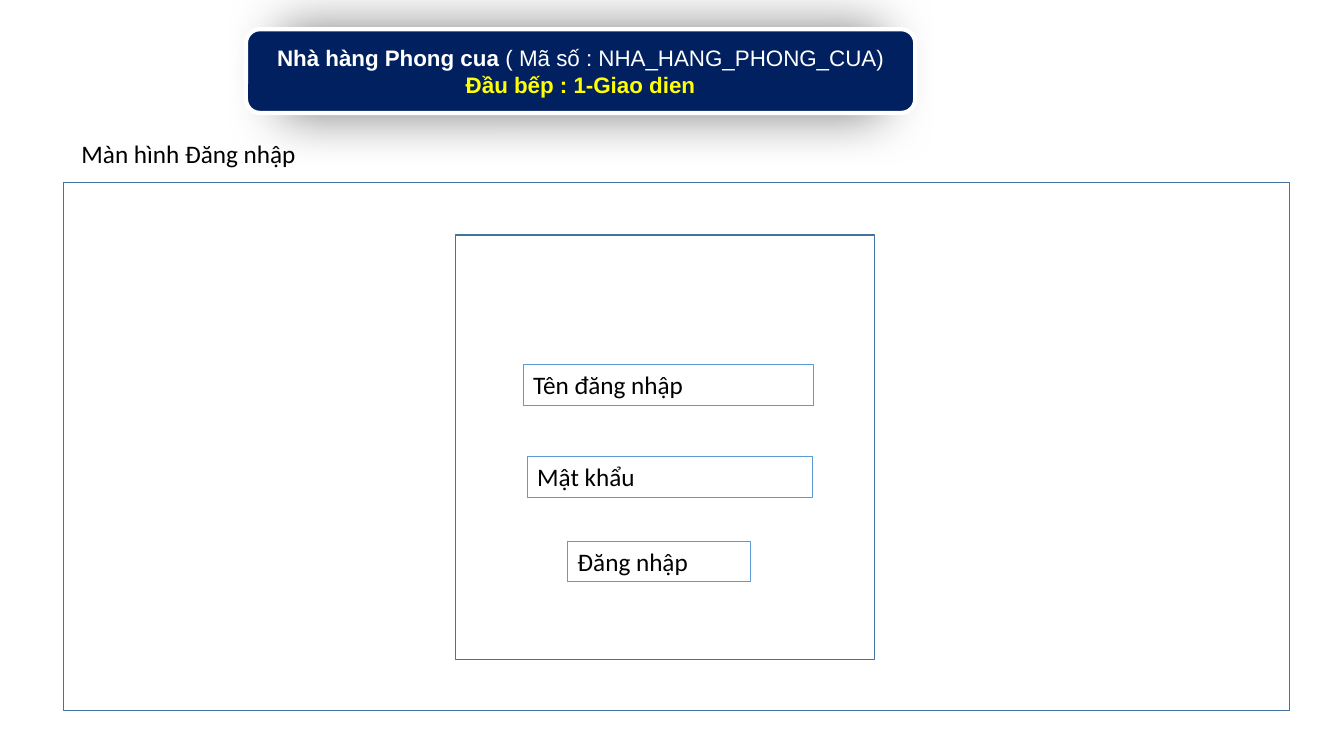
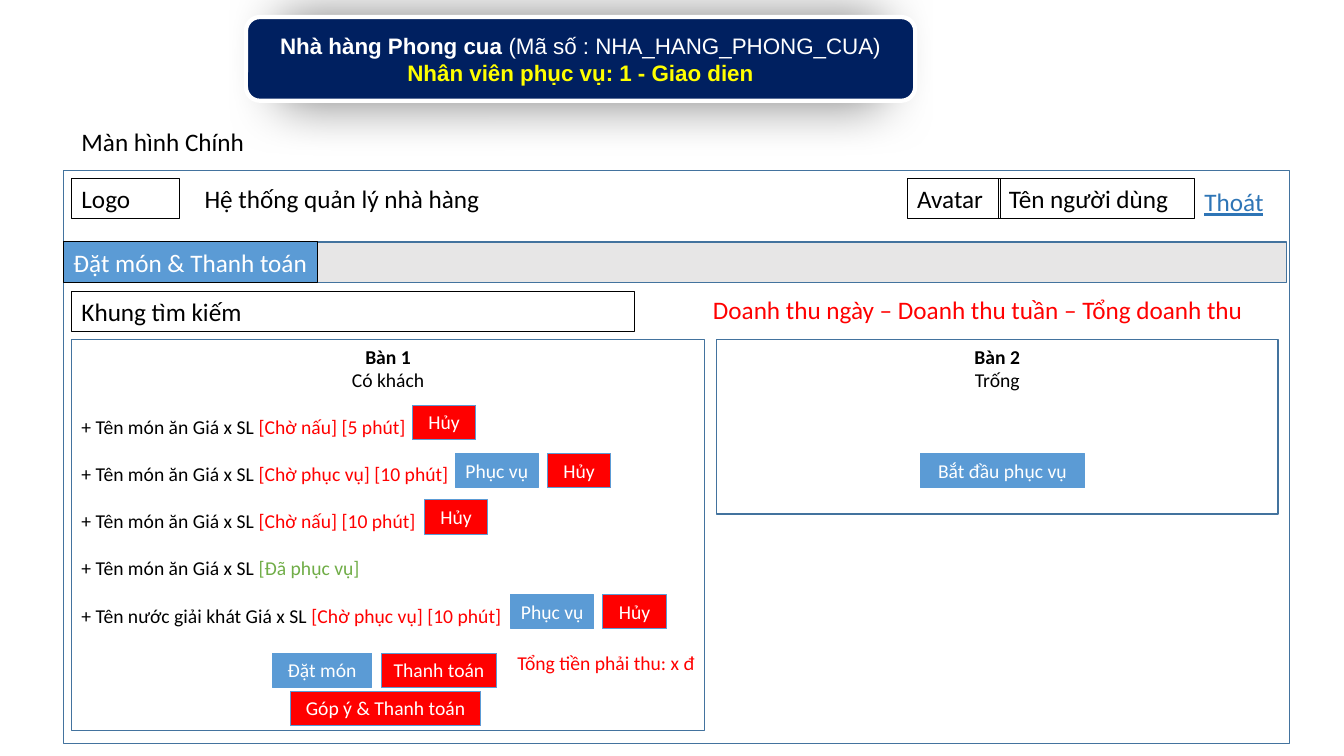
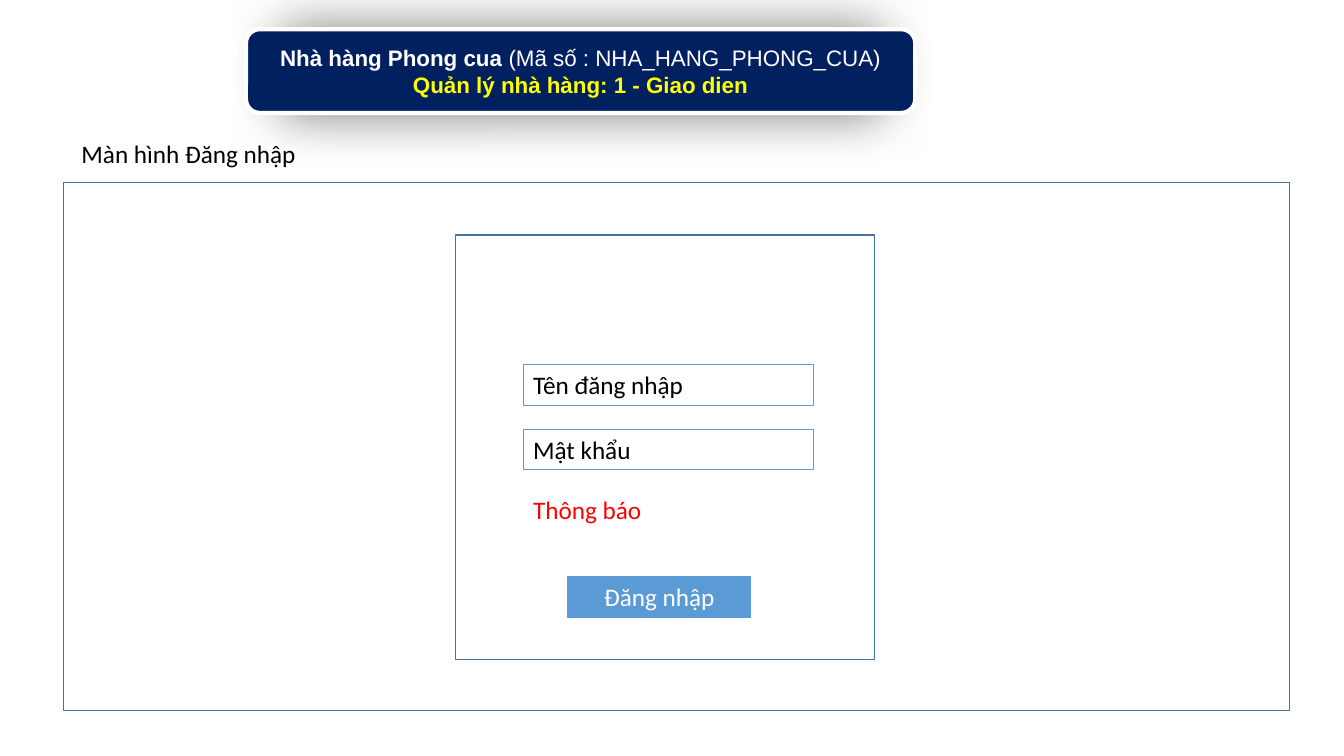
from pptx import Presentation
from pptx.dml.color import RGBColor
from pptx.enum import shapes, text
from pptx.oxml import parse_xml
from pptx.util import Pt

NAVY, WHITE, BLACK, YELLOW = "002060", "FFFFFF", "000000", "FFFF00"
BLUE, STEEL, LINK, GREY = "5B9BD5", "43739E", "2E75B6", "E7E6E6"
RED, GREEN = "FF0000", "70AD47"
LEFT, CENTER, RIGHT = text.PP_ALIGN.LEFT, text.PP_ALIGN.CENTER, text.PP_ALIGN.RIGHT

FRAME_X, INNER_X = 45.4, 51.1
FIELD_H, BUTTON_H = 29, 24.5
SHADOW = (
    '<a:effectLst xmlns:a="http://schemas.openxmlformats.org/drawingml/2006/main">'
    '<a:outerShdw blurRad="482600" dist="0" dir="5400000" sx="90000" algn="ctr" rotWithShape="0">'
    '<a:srgbClr val="000000"><a:alpha val="49000"/></a:srgbClr>'
    '</a:outerShdw></a:effectLst>'
)


def rgb(value):
    return RGBColor.from_string(value)


class Deck:
    def __init__(self):
        self.prs = Presentation()
        self.prs.slide_width, self.prs.slide_height = Pt(960), Pt(540)
        self.slide = None

    def box(self, x, y, w, h, fill=None, line=STEEL, weight=1,
            kind=shapes.MSO_SHAPE.RECTANGLE):
        shape = self.slide.shapes.add_shape(kind, Pt(x), Pt(y), Pt(w), Pt(h))
        shape.shadow.inherit = False
        if fill:
            shape.fill.solid()
            shape.fill.fore_color.rgb = rgb(fill)
        else:
            shape.fill.background()
        shape.line.color.rgb = rgb(line)
        shape.line.width = Pt(weight)
        shape.text_frame.word_wrap = True
        shape.text_frame.vertical_anchor = text.MSO_ANCHOR.TOP
        return shape

    def add_runs(self, paragraph, runs, size=18, color=BLACK, bold=False,
                 align=LEFT, font="Calibri"):
        """Fill a paragraph with runs: (text, overrides of colour or bold)."""
        paragraph.alignment = align
        paragraph.font.name, paragraph.font.size = font, Pt(size)
        paragraph.font.bold = bold
        paragraph.font.color.rgb = rgb(color)
        for words, changes in runs:
            run = paragraph.add_run()
            run.text = words
            if "color" in changes:
                run.font.color.rgb = rgb(changes["color"])
            if "bold" in changes:
                run.font.bold = changes["bold"]

    def one_line(self, shape, words, **style):
        """Set a single line, with side insets trimmed so that it never wraps."""
        frame = shape.text_frame
        frame.word_wrap = True
        frame.margin_right = 0
        if style.get("align") == CENTER:
            frame.margin_left = 0
        self.add_runs(frame.paragraphs[0], [(words, {})], **style)
        return frame.paragraphs[0]

    def label(self, x, y, w, words, **style):
        area = self.slide.shapes.add_textbox(Pt(x), Pt(y), Pt(w), Pt(FIELD_H))
        return self.one_line(area, words, **style)

    def field(self, x, y, w, words, line=BLACK, fill=None, **style):
        self.one_line(self.box(x, y, w, FIELD_H, fill, line, 0.75), words, **style)

    def button(self, x, y, w, words, fill=BLUE):
        self.one_line(self.box(x, y, w, BUTTON_H, fill, BLUE, 0.75), words,
                      size=14, color=WHITE, align=CENTER)

    def screen(self, code, role, heading, top=20.9, height=377.3):
        """Start a slide with its banner, heading and screen frame."""
        self.slide = self.prs.slides.add_slide(self.prs.slide_layouts[6])
        banner = self.box(175.7, top, 478.1, 59.8, NAVY, WHITE, 3,
                          shapes.MSO_SHAPE.ROUNDED_RECTANGLE)
        properties = banner._element.spPr
        properties.remove(properties.find("{*}effectLst"))
        properties.append(parse_xml(SHADOW))
        frame = banner.text_frame
        frame.vertical_anchor = text.MSO_ANCHOR.MIDDLE
        style = dict(size=16, align=CENTER, font="Arial", bold=True)
        self.add_runs(frame.paragraphs[0],
                      [("Nhà hàng Phong cua ", {}), (code, {"bold": False})],
                      color=WHITE, **style)
        self.add_runs(frame.add_paragraph(), [(role, {})], color=YELLOW, **style)
        self.label(INNER_X, top + 74.2, 314, heading)
        self.box(FRAME_X, top + 109.4, 875.5, height)

    def login(self, code, role):
        self.screen(code, role, "Màn hình Đăng nhập")
        self.box(325.4, 167.8, 299.5, 303.1)
        self.field(373.7, 260.6, 207.4, "Tên đăng nhập", BLUE)

    def table_card(self, x, w, h, name, status, dishes=(), total=None):
        """Draw a restaurant table with its status, dishes and amount due."""
        frame = self.box(x, 242.6, w, h).text_frame
        self.add_runs(frame.paragraphs[0], [(name, {})], 14, bold=True, align=CENTER)
        self.add_runs(frame.add_paragraph(), [(status, {})], 14, align=CENTER)
        for dish, state, color in dishes:
            row = frame.add_paragraph()
            row.line_spacing = 2.0
            self.add_runs(row, [(dish, {}), (state, {"color": color})], 14)
        if total:
            row = frame.add_paragraph()
            row.line_spacing = 2.0
            self.add_runs(row, [(total, {})], 14, RED, align=RIGHT)


def chef_login(deck):
    deck.login("( Mã số : NHA_HANG_PHONG_CUA)", "Đầu bếp : 1-Giao dien")
    deck.field(376.6, 326.2, 203.8, "Mật khẩu", BLUE)
    deck.field(405.4, 386.6, 131, "Đăng nhập", BLUE)


def waiter_main(deck):
    deck.screen("(Mã số : NHA_HANG_PHONG_CUA)", "Nhân viên phục vụ: 1 - Giao dien",
                "Màn hình Chính", 12.2, 409.7)
    header_y, menu_y = 127.4, 172.8
    deck.field(INNER_X, 208.1, 401.8, "Khung tìm kiếm")
    deck.field(INNER_X, header_y, 77, "Logo")
    deck.box(FRAME_X, menu_y, 873.4, FIELD_H, GREY)
    deck.field(713.5, header_y, 139.7, "Tên người dùng")
    deck.field(648, header_y, 67, "Avatar")
    deck.label(853.2, 129.6, 65.5, "Thoát", color=LINK).font.underline = True
    deck.label(139, header_y, 401.8, "Hệ thống quản lý nhà hàng")
    deck.field(FRAME_X, menu_y, 181.4, "Đặt món & Thanh toán", fill=BLUE, color=WHITE)
    deck.label(475.9, 206.6, 445, "Doanh thu ngày – Doanh thu tuần – Tổng doanh thu",
               color=RED, align=CENTER)

    dish = "+ Tên món ăn Giá x SL "
    deck.table_card(INNER_X, 452.2, 279.4, "Bàn 1", "Có khách", [
        (dish, "[Chờ nấu] [5 phút]", RED),
        (dish, "[Chờ phục vụ] [10 phút]", RED),
        (dish, "[Chờ nấu] [10 phút]", RED),
        (dish, "[Đã phục vụ]", GREEN),
        ("+ Tên nước giải khát Giá x SL ", "[Chờ phục vụ] [10 phút]", RED),
    ], "Tổng tiền phải thu: x đ")
    deck.table_card(511.9, 401, 124.6, "Bàn 2", "Trống")

    for x, y, ready in [(294.5, 289.4, False), (325.4, 324, True),
                        (303.1, 357.1, False), (365, 424.8, True)]:
        if ready:
            deck.button(x, y, 59, "Phục vụ")
            x += 65.6
        deck.button(x, y, 45.4, "Hủy", RED)
    deck.button(657.4, 324, 117.4, "Bắt đầu phục vụ")
    deck.button(194.4, 466.6, 71.3, "Đặt món")
    deck.button(272.2, 466.6, 82.8, "Thanh toán", RED)
    deck.button(207.4, 493.9, 136.1, "Góp ý & Thanh toán", RED)


def manager_login(deck):
    deck.login("(Mã số : NHA_HANG_PHONG_CUA)", "Quản lý nhà hàng: 1 - Giao dien")
    deck.field(373.7, 306.7, 207.4, "Mật khẩu", BLUE)
    deck.field(405.4, 411.8, 131, "Đăng nhập", BLUE, BLUE, color=WHITE, align=CENTER)
    deck.label(373.7, 349.2, 207.4, "Thông báo", color=RED)


def main():
    deck = Deck()
    for build in (chef_login, waiter_main, manager_login):
        build(deck)
    deck.prs.save("out.pptx")


if __name__ == "__main__":
    main()
